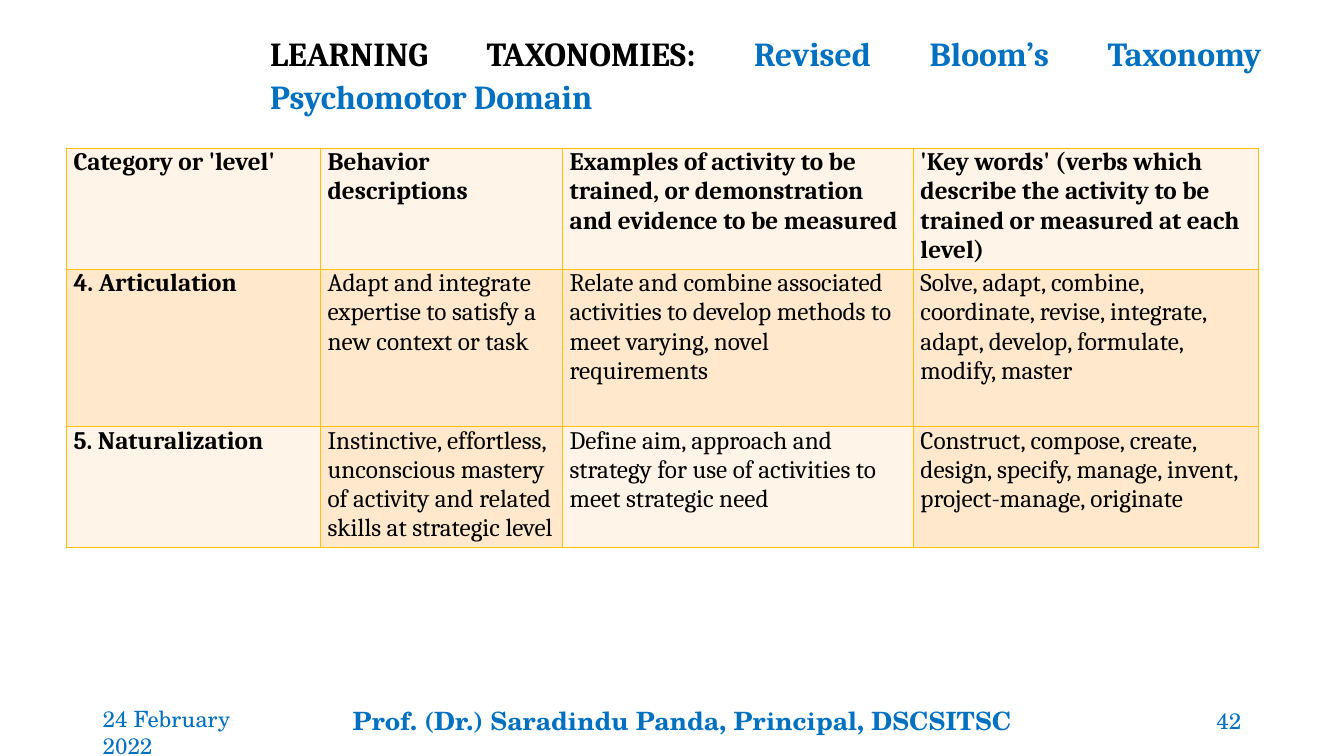
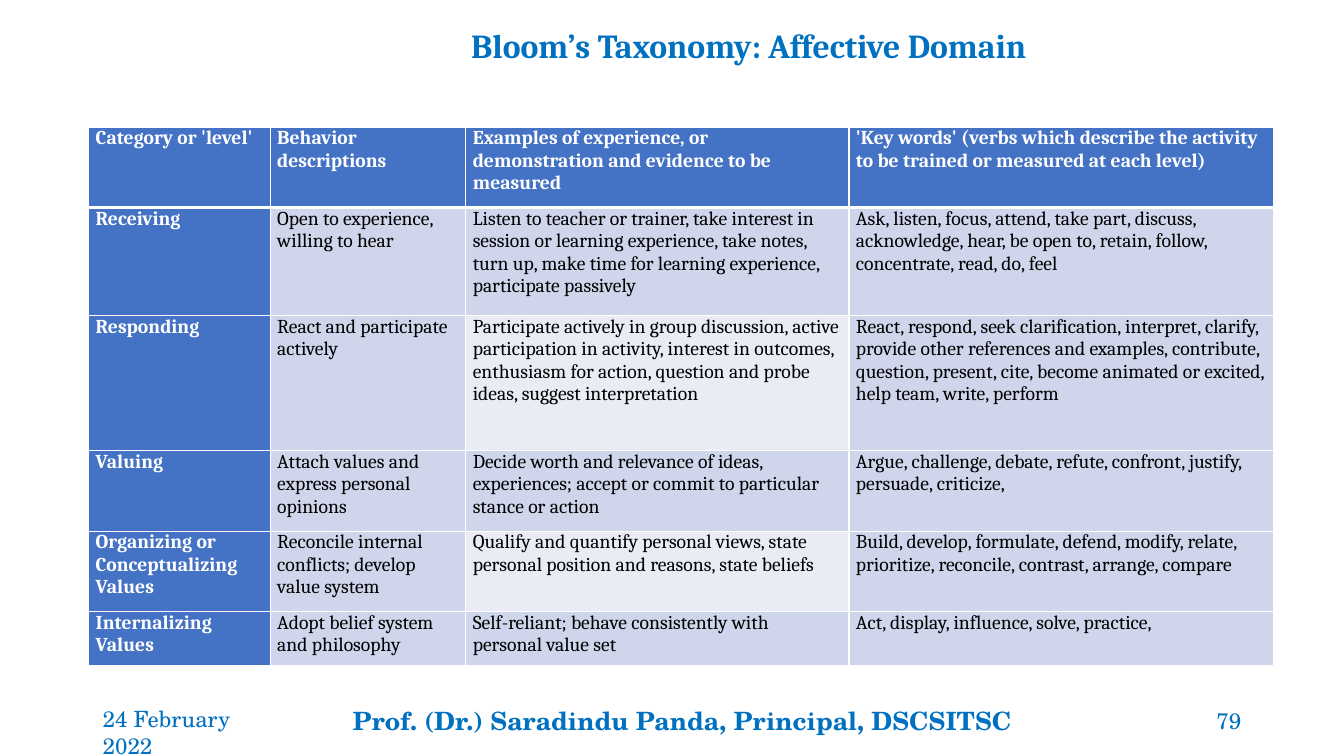
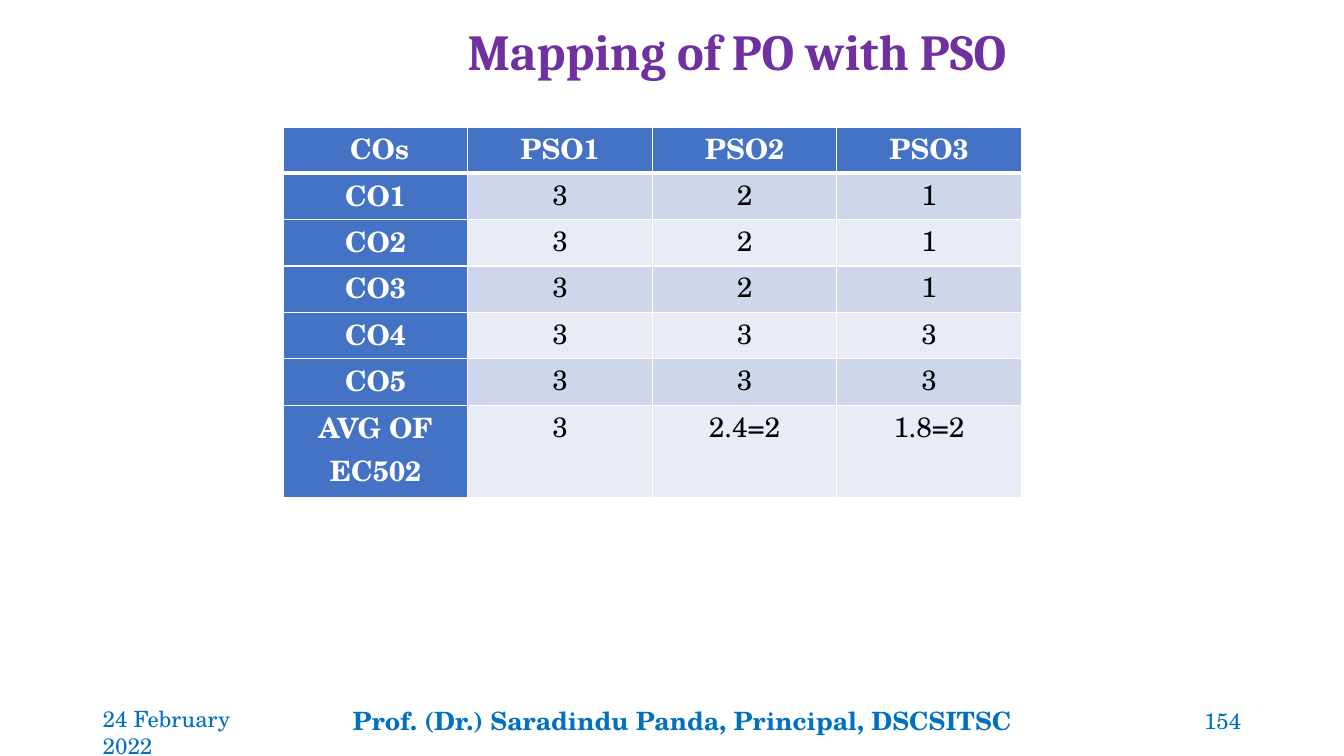
from dataclasses import dataclass

from lxml import etree
from pptx import Presentation
from pptx.dml.color import RGBColor
from pptx.enum import text
from pptx.oxml import ns
from pptx.util import Inches, Pt

# Shared colours and fonts
BLACK = RGBColor(0x00, 0x00, 0x00)
WHITE = RGBColor(0xFF, 0xFF, 0xFF)
BLUE = RGBColor(0x00, 0x70, 0xC0)
PURPLE = RGBColor(0x70, 0x30, 0xA0)
GOLD = RGBColor(0xFF, 0xC0, 0x00)
HEADER_BLUE = RGBColor(0x44, 0x72, 0xC4)
# Fill letters used by the tables: H heading, D darker band, L lighter band
BLUE_BANDS = {"H": HEADER_BLUE, "D": RGBColor(0xCF, 0xD5, 0xEA), "L": RGBColor(0xE9, 0xEB, 0xF5)}
GOLD_BANDS = {"D": RGBColor(0xFF, 0xE8, 0xCC), "L": RGBColor(0xFF, 0xF4, 0xE7)}
SERIF = "Cambria"
SCHOLA = "TeX Gyre Schola"

ALIGN = text.PP_ALIGN
ANCHOR = text.MSO_ANCHOR


@dataclass
class Run:
    text: str
    size: float
    color: RGBColor = BLUE
    bold: bool = True
    font: str = SERIF


@dataclass
class Box:
    left: float
    top: float
    width: float
    height: float
    lines: list[list[Run]]
    align: ALIGN = ALIGN.LEFT
    anchor: ANCHOR = ANCHOR.TOP
    spacing: float = 1.0


@dataclass
class Grid:
    left: float
    top: float
    height: float
    cols: list[float]
    rows: list[float]
    cells: list[list[str]]
    fills: list[str]
    bands: dict[str, RGBColor]
    border: RGBColor
    size: float
    header_rule: float = 1
    font: str = SERIF
    align: ALIGN = ALIGN.LEFT
    space_after: float = 10


@dataclass
class Page:
    number: int
    title: Box
    grid: Grid


def add_run(p, run: Run) -> None:
    r = p.add_run()
    r.text = run.text
    for name, value in {"name": run.font, "size": Pt(run.size), "bold": run.bold}.items():
        setattr(r.font, name, value)
    r.font.color.rgb = run.color


def add_box(s, box: Box) -> None:
    sp = s.shapes.add_textbox(*map(Inches, (box.left, box.top, box.width, box.height)))
    tf = sp.text_frame
    for name, value in {"word_wrap": True, "vertical_anchor": box.anchor}.items():
        setattr(tf, name, value)
    p = tf.paragraphs[0]
    for name, value in {"alignment": box.align, "line_spacing": box.spacing}.items():
        setattr(p, name, value)
    for i, line in enumerate(box.lines):
        if i:
            p.add_line_break()
        for run in line:
            add_run(p, run)


def set_border(cell, side: str, color: RGBColor, width: float) -> None:
    tc_pr = cell._tc.get_or_add_tcPr()
    ln = etree.SubElement(tc_pr, ns.qn(f"a:ln{side}"), w=str(int(Pt(width))))
    fill = etree.SubElement(ln, ns.qn("a:solidFill"))
    etree.SubElement(fill, ns.qn("a:srgbClr"), val=str(color))


def add_grid(s, grid: Grid) -> None:
    frame = s.shapes.add_table(
        len(grid.rows), len(grid.cols), Inches(grid.left), Inches(grid.top),
        Inches(sum(grid.cols)), Inches(grid.height))
    table = frame.table
    for flag in ("first_row", "horz_banding"):
        setattr(table, flag, False)
    for column, width in zip(table.columns, grid.cols):
        column.width = Inches(width)
    for row, height in zip(table.rows, grid.rows):
        row.height = Inches(height)
    # Row heights reset the frame, so its own height comes last
    frame.height = Inches(grid.height)

    margins = {"margin_left": Inches(0.07), "margin_right": Inches(0.07),
               "margin_top": 0, "margin_bottom": 0}
    for i, (words, letters) in enumerate(zip(grid.cells, grid.fills)):
        for j, (word, letter) in enumerate(zip(words, letters)):
            cell = table.cell(i, j)
            for name, value in margins.items():
                setattr(cell, name, value)
            # The heavier rule lies between the heading row and the first body row
            for side in "LRTB":
                heavy = (i, side) in ((0, "B"), (1, "T"))
                set_border(cell, side, grid.border, grid.header_rule if heavy else 1)
            cell.fill.solid()
            cell.fill.fore_color.rgb = grid.bands[letter]
            p = cell.text_frame.paragraphs[0]
            for name, value in {"alignment": grid.align,
                                "space_after": Pt(grid.space_after)}.items():
                setattr(p, name, value)
            color = WHITE if letter == "H" else BLACK
            add_run(p, Run(word, grid.size, color, i == 0 or j == 0, grid.font))


def add_footer(s, number: int) -> None:
    for box in (
        Box(0.92, 6.95, 1.99, 0.4, [[Run("24 February 2022", 16, bold=False, font=SCHOLA)]]),
        Box(3.4, 6.95, 6.81, 0.4,
            [[Run("Prof. (Dr.) Saradindu Panda, Principal, DSCSITSC", 18, font=SCHOLA)]]),
        Box(10.96, 6.95, 1.45, 0.4, [[Run(str(number), 16, bold=False, font=SCHOLA)]],
            ALIGN.RIGHT, ANCHOR.MIDDLE),
    ):
        add_box(s, box)


# Headings shared by the two taxonomy tables
LEVEL = "Category or 'level'"
BEHAVIOR = "Behavior descriptions"
KEY_WORDS = "'Key words' (verbs which describe the activity to be trained or measured at each level)"

# Psychomotor domain
PSYCHOMOTOR = Page(
    42,
    Box(2.58, 0.33, 10.03, 0.87,
        [[Run("LEARNING TAXONOMIES: ", 24, BLACK), Run("Revised Bloom’s Taxonomy", 24)],
         [Run("Psychomotor Domain", 24)]],
        ALIGN.JUSTIFY, ANCHOR.BOTTOM, 1.07),
    Grid(
        0.66, 1.47, 4.56, [2.52, 2.4, 3.48, 3.42], [0.94, 1.56, 1.01],
        [
            [LEVEL, BEHAVIOR,
             "Examples of activity to be trained, or demonstration and evidence to be measured",
             KEY_WORDS],
            ["4. Articulation",
             "Adapt and integrate expertise to satisfy a new context or task",
             "Relate and combine associated activities to develop methods to meet varying, "
             "novel requirements",
             "Solve, adapt, combine, coordinate, revise, integrate, adapt, develop, formulate, "
             "modify, master"],
            ["5. Naturalization",
             "Instinctive, effortless, unconscious mastery of activity and related skills at "
             "strategic level",
             "Define aim, approach and strategy for use of activities to meet strategic need",
             "Construct, compose, create, design, specify, manage, invent, project-manage, "
             "originate"],
        ],
        ["LLLL", "DDDD", "LDLD"], GOLD_BANDS, GOLD, 18),
)

# Affective domain
AFFECTIVE = Page(
    79,
    Box(2.5, 0.18, 9.85, 0.52,
        [[Run("Bloom’s Taxonomy:", 24), Run(" ", 18, BLACK, font="Arial"),
          Run("Affective Domain", 24)]],
        ALIGN.CENTER, ANCHOR.BOTTOM, 0.9),
    Grid(
        0.88, 1.26, 5.35, [1.8, 1.94, 3.8, 4.21], [0.8, 1.07, 1.34, 0.8, 0.8, 0.53],
        [
            [LEVEL, BEHAVIOR,
             "Examples of experience, or demonstration and evidence to be measured",
             KEY_WORDS],
            ["Receiving", "Open to experience, willing to hear",
             "Listen to teacher or trainer, take interest in session or learning experience, "
             "take notes, turn up, make time for learning experience, participate passively",
             "Ask, listen, focus, attend, take part, discuss, acknowledge, hear, be open to, "
             "retain, follow, concentrate, read, do, feel"],
            ["Responding", "React and participate actively",
             "Participate actively in group discussion, active participation in activity, "
             "interest in outcomes, enthusiasm for action, question and probe ideas, "
             "suggest interpretation",
             "React, respond, seek clarification, interpret, clarify, provide other references "
             "and examples, contribute, question, present, cite, become animated or excited, "
             "help team, write, perform"],
            ["Valuing", "Attach values and express personal opinions",
             "Decide worth and relevance of ideas, experiences; accept or commit to particular "
             "stance or action",
             "Argue, challenge, debate, refute, confront, justify, persuade, criticize,"],
            ["Organizing or Conceptualizing Values",
             "Reconcile internal conflicts; develop value system",
             "Qualify and quantify personal views, state personal position and reasons, "
             "state beliefs",
             "Build, develop, formulate, defend, modify, relate, prioritize, reconcile, "
             "contrast, arrange, compare"],
            ["Internalizing Values", "Adopt belief system and philosophy",
             "Self-reliant; behave consistently with personal value set",
             "Act, display, influence, solve, practice,"],
        ],
        ["HHHH", "HDDD", "HDLD", "HDDD", "HDLD", "HDDD"], BLUE_BANDS, WHITE, 14, 3,
        space_after=3),
)

# Mapping of outcomes
MAPPING = Page(
    154,
    Box(2.07, 0.15, 10.48, 0.71, [[Run("Mapping of PO with PSO", 36, PURPLE)]], ALIGN.CENTER),
    Grid(
        2.81, 1.26, 3.67, [1.83] * 4, [0.46] * 6 + [0.92],
        [
            [" COs", "PSO1", "PSO2", "PSO3"],
            ["CO1", "3", "2", "1"],
            ["CO2", "3", "2", "1"],
            ["CO3", "3", "2", "1"],
            ["CO4", "3", "3", "3"],
            ["CO5", "3", "3", "3"],
            ["AVG OF EC502", "3", "2.4=2", "1.8=2"],
        ],
        ["HHHH"] + ["HDDD", "HLLL"] * 3, BLUE_BANDS, WHITE, 20, 3,
        SCHOLA, ALIGN.CENTER, 0),
)


def main() -> None:
    prs = Presentation()
    prs.slide_width, prs.slide_height = Inches(13.33), Inches(7.5)
    for page in (PSYCHOMOTOR, AFFECTIVE, MAPPING):
        s = prs.slides.add_slide(prs.slide_layouts[6])
        add_box(s, page.title)
        add_grid(s, page.grid)
        add_footer(s, page.number)
    prs.save("out.pptx")


if __name__ == "__main__":
    main()
